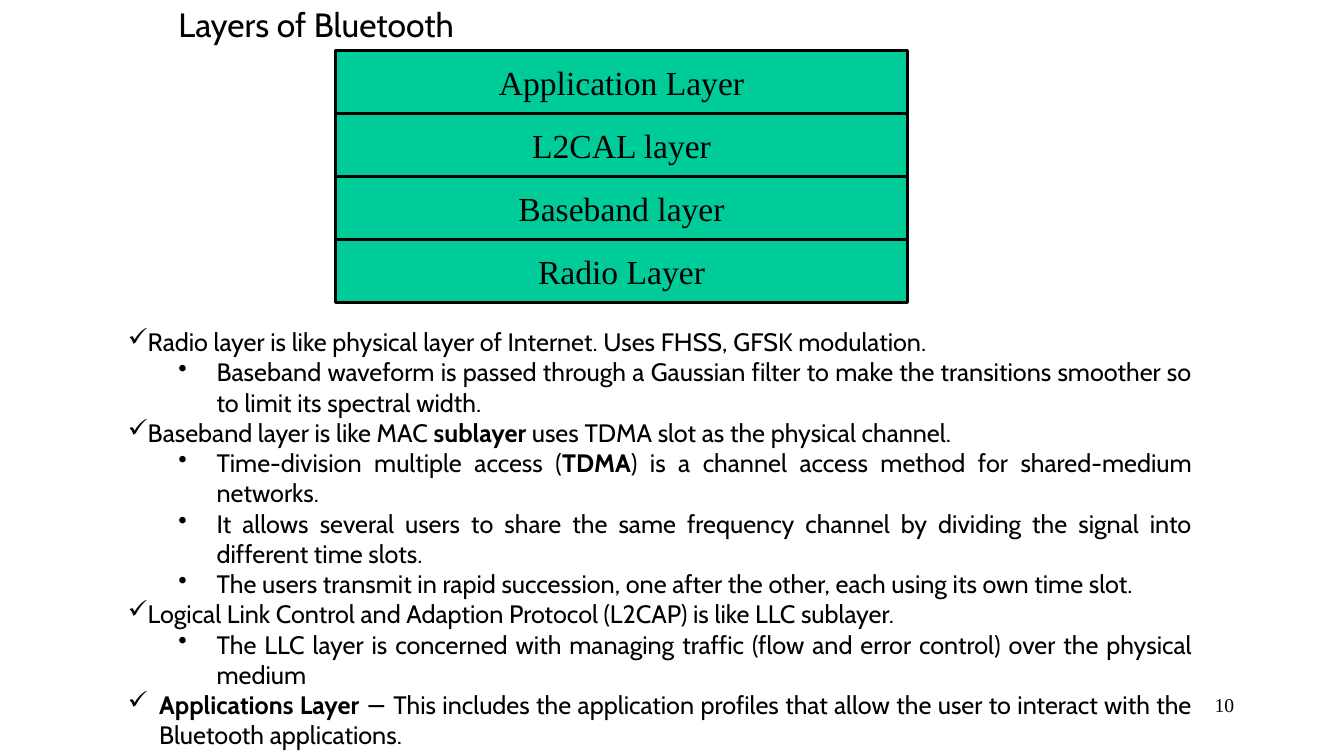
from lxml import etree
from pptx import Presentation
from pptx.dml.color import RGBColor
from pptx.enum.shapes import MSO_SHAPE as SHAPE
from pptx.enum.text import MSO_ANCHOR as ANCHOR, PP_ALIGN as ALIGN
from pptx.oxml.ns import qn
from pptx.util import Inches, Pt

TITLE = "Layers of Bluetooth"
PAGE = "10"
LAYERS = ["Application Layer", "L2CAL layer", "Baseband layer", "Radio Layer"]
NOTES = [
    ("check", [("Radio layer is like physical layer of Internet. Uses FHSS, GFSK modulation.", False)]),
    ("dot", [("Baseband waveform is passed through a Gaussian filter to make the transitions "
              "smoother so to limit its spectral width.", False)]),
    ("check", [("Baseband layer is like MAC ", False), ("sublayer", True),
               (" uses TDMA slot as the physical channel.", False)]),
    ("dot", [("Time-division multiple access (", False), ("TDMA", True),
             (") is a channel access method for shared-medium networks.", False)]),
    ("dot", [("It allows several users to share the same frequency channel by dividing the "
              "signal into different time slots.", False)]),
    ("dot", [("The users transmit in rapid succession, one after the other, each using its "
              "own time slot.", False)]),
    ("check", [("Logical Link Control and Adaption Protocol (L2CAP) is like LLC sublayer.", False)]),
    ("dot", [("The LLC layer is concerned with managing traffic (flow and error control) over "
              "the physical medium", False)]),
    ("hanging", [("Applications Layer", True),
                 (" − This includes the application profiles that allow the user to interact "
                  "with the Bluetooth applications.", False)]),
]
BULLETS = {"check": ("✓", 0, 0), "dot": ("•", 1, 0.88 - 0.5), "hanging": ("✓", 0, 0.31)}
LEFT_MARGINS = {"check": 0, "dot": 0.88, "hanging": 0.31}

BLACK = RGBColor(0x00, 0x00, 0x00)
GREEN = RGBColor(0x00, 0xCC, 0x99)
SANS, SERIF = "Cabin", "Times New Roman"
STACK_LEFT, STACK_TOP, LAYER_W, LAYER_H = 3.33, 0.5, 5.67, 0.625


def add_run(p, text, font, size, bold=False):
    r = p.add_run()
    r.text = text
    r.font.name = font
    r.font.size = Pt(size)
    r.font.bold = bold
    r.font.color.rgb = BLACK


def set_bullet(p, kind):
    char, level, hang = BULLETS[kind]
    p.level = level
    pPr = p._p.get_or_add_pPr()
    pPr.set("marL", str(Inches(LEFT_MARGINS[kind])))
    pPr.set("indent", str(-Inches(hang)))
    etree.SubElement(pPr, qn("a:buChar")).set("char", char)


def add_text_box(s, left, top, width, height):
    tf = s.shapes.add_textbox(Inches(left), Inches(top), Inches(width), Inches(height)).text_frame
    tf.word_wrap = True
    return tf


def add_layers(s):
    stack = s.shapes.add_group_shape()
    for i, name in reversed(list(enumerate(LAYERS))):
        sp = stack.shapes.add_shape(SHAPE.RECTANGLE, Inches(STACK_LEFT), Inches(STACK_TOP + i * LAYER_H),
                                    Inches(LAYER_W), Inches(LAYER_H))
        sp.shadow.inherit = False
        sp.fill.solid()
        sp.fill.fore_color.rgb = GREEN
        sp.line.color.rgb = BLACK
        sp.line.width = Pt(2)
        sp.text_frame.vertical_anchor = ANCHOR.MIDDLE
        p = sp.text_frame.paragraphs[0]
        p.alignment = ALIGN.CENTER
        add_run(p, name, SERIF, 24)


def add_notes(s):
    tf = add_text_box(s, 1.17, 3.19, 10.75, 4.64)
    for i, (kind, runs) in enumerate(NOTES):
        p = tf.add_paragraph() if i else tf.paragraphs[0]
        p.alignment = ALIGN.JUSTIFY
        set_bullet(p, kind)
        for text, bold in runs:
            add_run(p, text, SANS, 18, bold)


def main():
    prs = Presentation()
    prs.slide_width, prs.slide_height = Inches(13.33), Inches(7.5)
    s = prs.slides.add_slide(prs.slide_layouts[5])

    title = s.shapes.title
    title.left, title.top = Inches(1.67), Inches(-0.01)
    title.width, title.height = Inches(3.25), Inches(0.5)
    title.text_frame.vertical_anchor = ANCHOR.TOP
    p = title.text_frame.paragraphs[0]
    p.alignment = ALIGN.LEFT
    add_run(p, TITLE, SANS, 24)

    p = add_text_box(s, 9.56, 6.83, 2.78, 0.5).paragraphs[0]
    p.alignment = ALIGN.RIGHT
    add_run(p, PAGE, SERIF, 14)

    add_layers(s)
    add_notes(s)
    prs.save("out.pptx")


if __name__ == "__main__":
    main()
